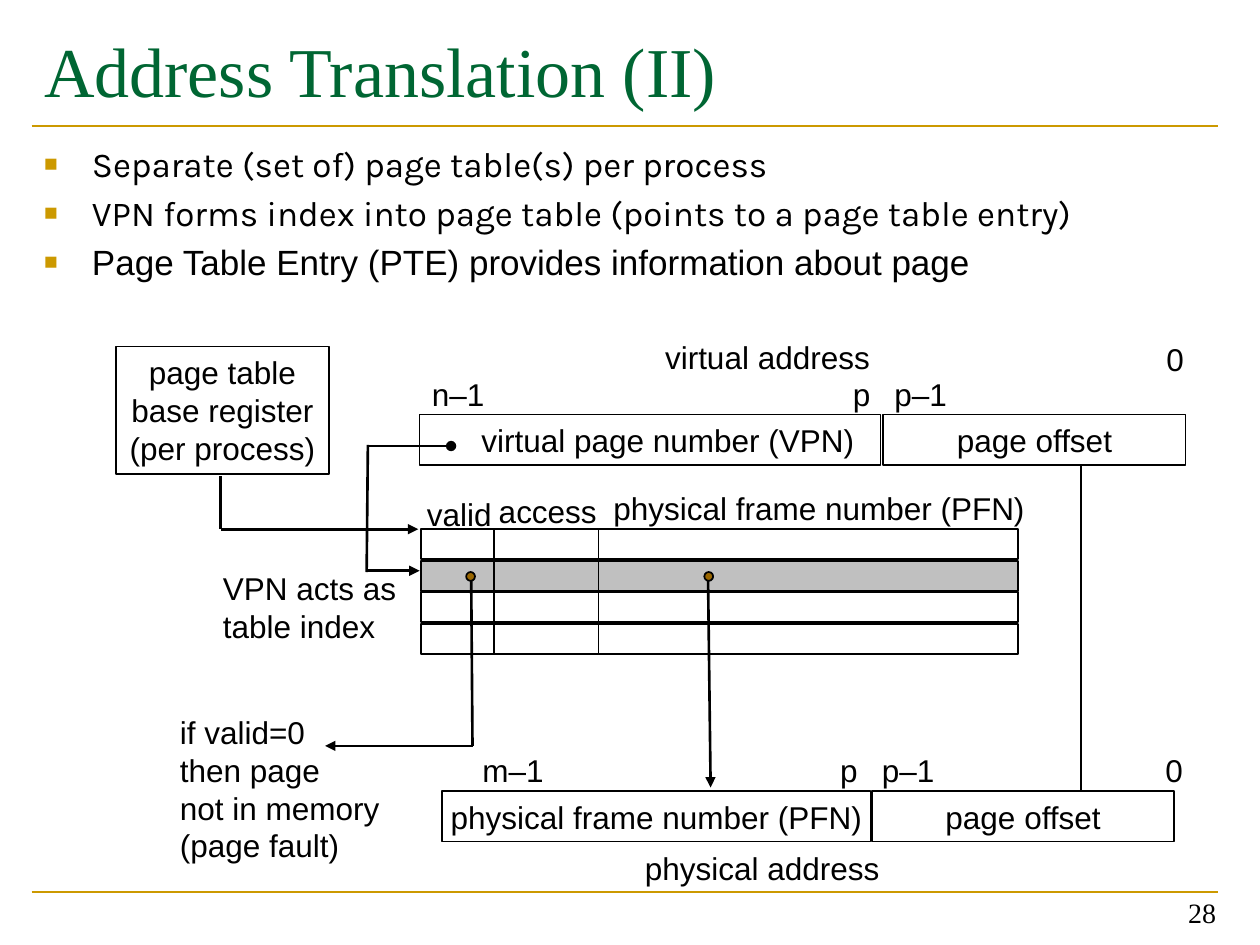
import dataclasses

import lxml.etree
import pptx
import pptx.dml.color
import pptx.enum.shapes
import pptx.enum.text
import pptx.oxml.ns
import pptx.util

Inches, Pt = pptx.util.Inches, pptx.util.Pt
SHAPE = pptx.enum.shapes.MSO_SHAPE
ALIGN = pptx.enum.text.PP_ALIGN
ANCHOR = pptx.enum.text.MSO_ANCHOR
AUTO = pptx.enum.text.MSO_AUTO_SIZE
qn = pptx.oxml.ns.qn


@dataclasses.dataclass(frozen=True)
class Theme:
    ink: str = "000000"
    paper: str = "FFFFFF"
    title: str = "006633"
    accent: str = "CC9900"
    selected: str = "C0C0C0"
    dot: str = "996600"
    serif: str = "Times New Roman"
    sans: str = "Arial"
    body: str = "Karla"
    title_size: int = 40
    body_size: int = 20
    label_size: int = 18
    number_size: int = 16
    thin: float = 1
    thick: float = 1.5


def rgb(value):
    return pptx.dml.color.RGBColor.from_string(value)


def write(p, text, *, font, size, color, align=ALIGN.LEFT):
    """Put formatted text in a paragraph; a newline becomes a line break."""
    p.text = text
    p.alignment = align
    for r in p.runs:
        r.font.name, r.font.size = font, Pt(size)
        r.font.color.rgb = rgb(color)


class Deck:
    def __init__(self, theme):
        self.theme = theme
        self.prs = pptx.Presentation()
        self.prs.slide_width, self.prs.slide_height = Inches(10), Inches(7.5)
        self.s = self.prs.slides.add_slide(self.prs.slide_layouts[1])

    def fill_frame(self, tf, lines, align=ALIGN.LEFT, font=None, size=None):
        t = self.theme
        for i, line in enumerate(lines):
            p = tf.add_paragraph() if i else tf.paragraphs[0]
            write(p, line, font=font or t.sans, size=size or t.label_size,
                  color=t.ink, align=align)

    def place(self, sp, x, y, w, h):
        """Move a placeholder and anchor its text at the top."""
        sp.left, sp.top, sp.width, sp.height = map(Inches, (x, y, w, h))
        tf = sp.text_frame
        tf.auto_size, tf.vertical_anchor = AUTO.NONE, ANCHOR.TOP
        return tf

    def title(self, text):
        t = self.theme
        tf = self.place(self.s.shapes.title, 0.25, 0.17, 9.42, 1.17)
        write(tf.paragraphs[0], text, font=t.serif, size=t.title_size, color=t.title)

    def bullets(self, items):
        t = self.theme
        tf = self.place(self.s.placeholders[1], 0.25, 1.08, 9.58, 2)
        for i, (text, font) in enumerate(items):
            p = tf.add_paragraph() if i else tf.paragraphs[0]
            pPr = p._p.get_or_add_pPr()
            pPr.set("marL", str(Inches(0.38)))
            pPr.set("indent", str(-Inches(0.38)))
            clr = lxml.etree.SubElement(pPr, qn("a:buClr"))
            lxml.etree.SubElement(clr, qn("a:srgbClr"), val=t.accent)
            lxml.etree.SubElement(pPr, qn("a:buSzPct"), val="65000")
            lxml.etree.SubElement(pPr, qn("a:buChar"), char="■")
            p.space_before = Pt(4 if i else 0)
            write(p, text, font=font, size=t.body_size, color=t.ink)

    def shape(self, kind, x, y, w, h, fill):
        sp = self.s.shapes.add_shape(kind, *map(Inches, (x, y, w, h)))
        sp.shadow.inherit = False
        sp.fill.solid()
        sp.fill.fore_color.rgb = rgb(fill)
        sp.line.color.rgb = rgb(self.theme.ink)
        sp.line.width = Pt(self.theme.thin)
        return sp

    def box(self, x, y, w, h, *lines, left=0.1):
        tf = self.shape(SHAPE.RECTANGLE, x, y, w, h, self.theme.paper).text_frame
        tf.word_wrap, tf.vertical_anchor = False, ANCHOR.MIDDLE
        tf.margin_left = Inches(left)
        self.fill_frame(tf, lines, ALIGN.CENTER)

    def label(self, x, y, w, h, *lines):
        tf = self.s.shapes.add_textbox(*map(Inches, (x, y, w, h))).text_frame
        # No right inset, so short labels stay on one line
        tf.word_wrap, tf.margin_right = True, 0
        self.fill_frame(tf, lines)

    def page_number(self, text):
        t = self.theme
        tf = self.s.shapes.add_textbox(*map(Inches, (7.42, 6.92, 2.33, 0.5))).text_frame
        tf.word_wrap, tf.vertical_anchor = True, ANCHOR.BOTTOM
        self.fill_frame(tf, [text], ALIGN.RIGHT, t.serif, t.number_size)

    def line(self, x1, y1, x2, y2, end=None, color=None):
        c = self.s.shapes.add_connector(pptx.enum.shapes.MSO_CONNECTOR.STRAIGHT,
                                        *map(Inches, (x1, y1, x2, y2)))
        c.line.color.rgb = rgb(color or self.theme.ink)
        c.line.width = Pt(self.theme.thick)
        if end:
            lxml.etree.SubElement(c.line._get_or_add_ln(), qn("a:tailEnd"), type=end)
        lxml.etree.SubElement(c._element.spPr, qn("a:effectLst"))


def main():
    theme = Theme()
    deck = Deck(theme)

    # Frame: rules, page number, title and list
    for y in (7.08, 1):
        deck.line(0.25, y, 9.67, y, color=theme.accent)
    deck.page_number("28")
    deck.title("Address Translation (II)")
    deck.bullets([
        ("Separate (set of) page table(s) per process", theme.body),
        ("VPN forms index into page table (points to a page table entry)", theme.body),
        ("Page Table Entry (PTE) provides information about page", theme.sans),
    ])

    # Base register, virtual address and physical address
    deck.box(0.92, 2.75, 1.69, 1.01, "page table", "base register", "(per process)")
    deck.box(3.33, 3.29, 3.66, 0.4, "virtual page number (VPN)", left=0.38)
    deck.box(7.01, 3.29, 2.4, 0.4, "page offset")
    deck.box(3.51, 6.28, 3.4, 0.4, "physical frame number (PFN)")
    deck.box(6.92, 6.28, 2.4, 0.4, "page offset")

    # Page table: valid, access and frame columns, second entry selected
    for x, w in ((3.34, 0.58), (3.92, 0.83), (4.75, 3.33)):
        for row in range(4):
            fill = theme.selected if row == 1 else theme.paper
            deck.shape(SHAPE.RECTANGLE, x, 4.2 + 0.25 * row, w, 0.24, fill)
    for x in (3.7, 5.59):
        deck.shape(SHAPE.OVAL, x, 4.54, 0.07, 0.07, theme.dot)

    # Lines and arrows
    for line in (
        (1.75, 4.2, 1.75, 3.78),
        (1.75, 4.2, 3.32, 4.2, "triangle"),
        (2.91, 4.54, 2.92, 3.53),
        (2.92, 3.54, 3.58, 3.54, "oval"),
        (2.92, 4.53, 3.33, 4.53, "triangle"),
        (3.75, 5.92, 3.74, 4.61),
        (3.75, 5.92, 2.58, 5.92, "triangle"),
        (5.62, 4.61, 5.64, 6.25, "triangle"),
        (8.58, 6.27, 8.58, 3.7),
    ):
        deck.line(*line)

    # Labels: left, top, width, text
    for x, y, w, text in (
        (5.18, 2.63, 1.98, "virtual address"),
        (5.02, 6.69, 2.23, "physical address"),
        (3.33, 2.93, 0.61, "n–1"),
        (6.67, 2.93, 0.34, "p"),
        (7, 2.93, 0.61, "p–1"),
        (9.16, 2.65, 0.34, "0"),
        (3.73, 5.91, 0.68, "m–1"),
        (6.57, 5.91, 0.34, "p"),
        (6.9, 5.91, 0.61, "p–1"),
        (9.15, 5.91, 0.34, "0"),
        (3.29, 3.88, 0.71, "valid"),
        (3.86, 3.86, 0.99, "access"),
        (4.77, 3.83, 3.5, "physical frame number (PFN)"),
    ):
        deck.label(x, y, w, 0.4, text)
    deck.label(1.67, 4.47, 1.58, 0.7, "VPN acts as", "table index")
    deck.label(1.33, 5.61, 1.8, 1.31, "if valid=0", "then page",
               "not in memory\n(page fault)")

    deck.prs.save("out.pptx")


if __name__ == "__main__":
    main()
